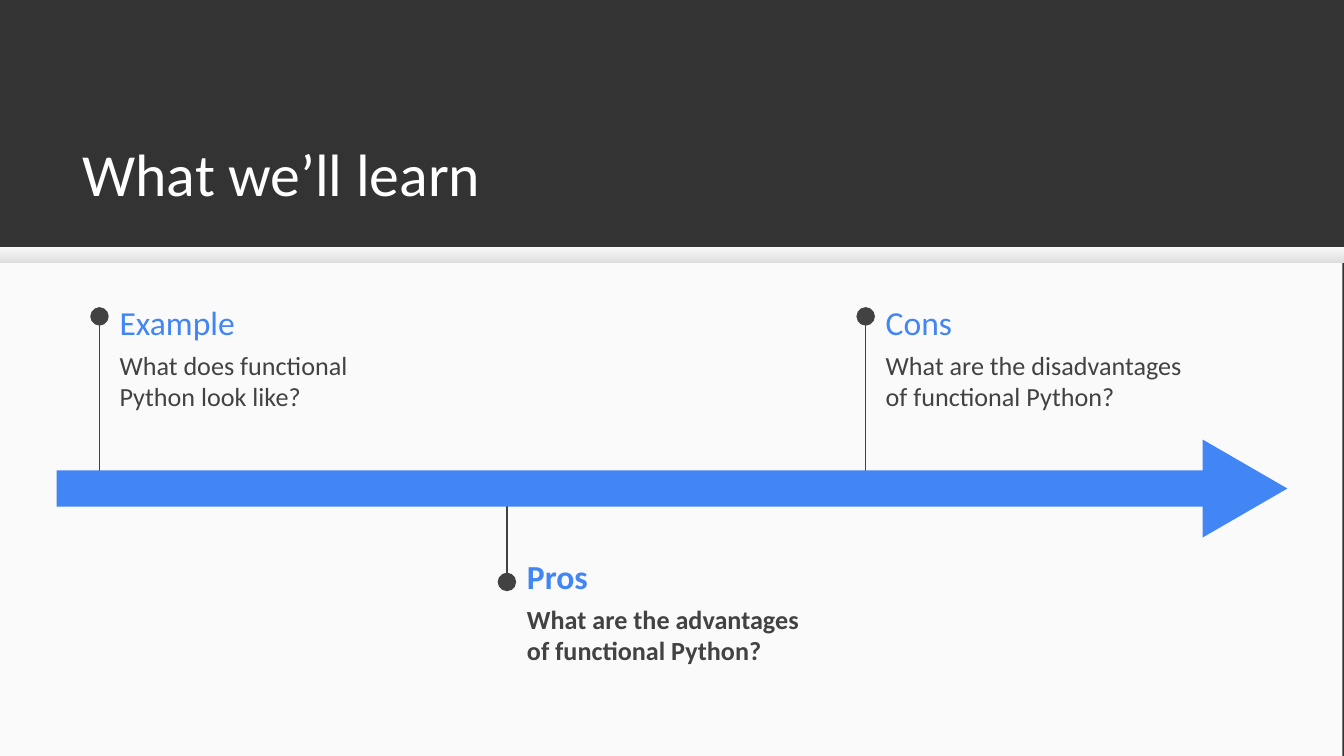
from dataclasses import dataclass

from lxml.etree import SubElement
from pptx import Presentation
from pptx.dml.color import RGBColor
from pptx.enum.shapes import MSO_CONNECTOR, MSO_SHAPE
from pptx.enum.text import MSO_ANCHOR
from pptx.oxml.ns import qn
from pptx.util import Cm, Pt


@dataclass(frozen=True)
class Theme:
    font: str = "Calibri"
    dark: str = "333333"
    panel: str = "FAFAFA"
    strip_top: str = "F9F9F9"
    strip_bottom: str = "DEDEDE"
    accent: str = "4285F4"
    body: str = "424242"
    white: str = "FFFFFF"
    title_size: int = 32
    heading_size: int = 18
    body_size: int = 14
    stem_width: float = 0.75
    text_inset: float = 0.25


@dataclass(frozen=True)
class Milestone:
    heading: str
    question: str
    x: float
    dot_y: float
    text_top: float
    width: float
    bold: bool = False


MILESTONES = (
    Milestone("Example", "What does functional Python look like?",
              1.88, 5.98, 5.54, 6.35),
    Milestone("Pros", "What are the advantages of functional Python?",
              9.58, 11.0, 10.34, 5.94, bold=True),
    Milestone("Cons", "What are the disadvantages of functional Python?",
              16.36, 5.98, 5.54, 6.1),
)

SLIDE_WIDTH, SLIDE_HEIGHT = 25.4, 14.29
HEADER_HEIGHT = 4.67
BAR_LEFT, BAR_TOP, BAR_WIDTH, BAR_HEIGHT = 1.07, 8.89, 21.95, 0.69
BAR_MIDDLE = BAR_TOP + BAR_HEIGHT / 2
HEAD_BASE, HEAD_LENGTH = 1.85, 1.6
HEAD_CENTER = 23.53


class SlideBuilder:
    """Draws themed elements on one slide; all lengths are in centimetres."""

    def __init__(self, slide, theme):
        self.slide = slide
        self.theme = theme

    def background(self, color):
        fill = self.slide.background.fill
        fill.solid()
        fill.fore_color.rgb = RGBColor.from_string(color)

    def shape(self, kind, left, top, width, height, color):
        shape = self.slide.shapes.add_shape(
            kind, Cm(left), Cm(top), Cm(width), Cm(height))
        shape.shadow.inherit = False
        shape.line.fill.background()
        shape.fill.solid()
        shape.fill.fore_color.rgb = RGBColor.from_string(color)
        return shape

    def gradient_strip(self, top, height):
        strip = self.shape(MSO_SHAPE.RECTANGLE, 0, top, SLIDE_WIDTH, height,
                           self.theme.strip_top)
        strip.fill.gradient()
        strip.fill.gradient_angle = 270
        colors = (self.theme.strip_top, self.theme.strip_bottom)
        for stop, color in zip(strip.fill.gradient_stops, colors):
            stop.color.rgb = RGBColor.from_string(color)

    def stem(self, x, start_y, dot_y):
        """Draw a vertical line that ends in a large dot."""
        line = self.slide.shapes.add_connector(
            MSO_CONNECTOR.STRAIGHT, Cm(x), Cm(start_y), Cm(x), Cm(dot_y))
        line.line.color.rgb = RGBColor.from_string(self.theme.body)
        line.line.width = Pt(self.theme.stem_width)
        SubElement(line.line._get_or_add_ln(), qn("a:tailEnd"),
                   type="oval", w="lg", len="lg")
        SubElement(line._element.spPr, qn("a:effectLst"))

    def text(self, words, left, top, width, height, size, color,
             anchor=MSO_ANCHOR.TOP, bold=False):
        box = self.slide.shapes.add_textbox(
            Cm(left), Cm(top), Cm(width), Cm(height))
        frame = box.text_frame
        frame.word_wrap = True
        frame.vertical_anchor = anchor
        inset = Cm(self.theme.text_inset)
        frame.margin_left = frame.margin_right = inset
        frame.margin_top = frame.margin_bottom = inset
        span = frame.paragraphs[0].add_run()
        span.text = words
        span.font.name = self.theme.font
        span.font.size = Pt(size)
        span.font.bold = bold
        span.font.color.rgb = RGBColor.from_string(color)

    def milestone(self, item):
        theme = self.theme
        left = item.x + 0.13
        self.stem(item.x, BAR_MIDDLE, item.dot_y)
        self.text(item.heading, left, item.text_top, item.width, 1.09,
                  theme.heading_size, theme.accent, MSO_ANCHOR.MIDDLE, item.bold)
        self.text(item.question, left, item.text_top + 0.81, item.width, 1.6,
                  theme.body_size, theme.body, bold=item.bold)

    def timeline_arrow(self):
        color = self.theme.accent
        head = self.shape(MSO_SHAPE.ISOSCELES_TRIANGLE,
                          HEAD_CENTER - HEAD_BASE / 2, BAR_MIDDLE - HEAD_LENGTH / 2,
                          HEAD_BASE, HEAD_LENGTH, color)
        head.rotation = 90
        self.shape(MSO_SHAPE.RECTANGLE, BAR_LEFT, BAR_TOP,
                   BAR_WIDTH, BAR_HEIGHT, color)


def main():
    deck = Presentation()
    deck.slide_width, deck.slide_height = Cm(SLIDE_WIDTH), Cm(SLIDE_HEIGHT)
    page = deck.slides.add_slide(deck.slide_layouts[6])
    theme = Theme()
    builder = SlideBuilder(page, theme)

    builder.background(theme.dark)
    builder.shape(MSO_SHAPE.RECTANGLE, -0.03, HEADER_HEIGHT, SLIDE_WIDTH,
                  SLIDE_HEIGHT - HEADER_HEIGHT, theme.panel)
    builder.gradient_strip(HEADER_HEIGHT, 0.3)
    for item in MILESTONES:
        builder.milestone(item)
    builder.text("What we’ll learn", 1.31, 2.06, 22.83, 2.13,
                 theme.title_size, theme.white, MSO_ANCHOR.BOTTOM)
    builder.timeline_arrow()

    deck.save("out.pptx")


if __name__ == "__main__":
    main()
